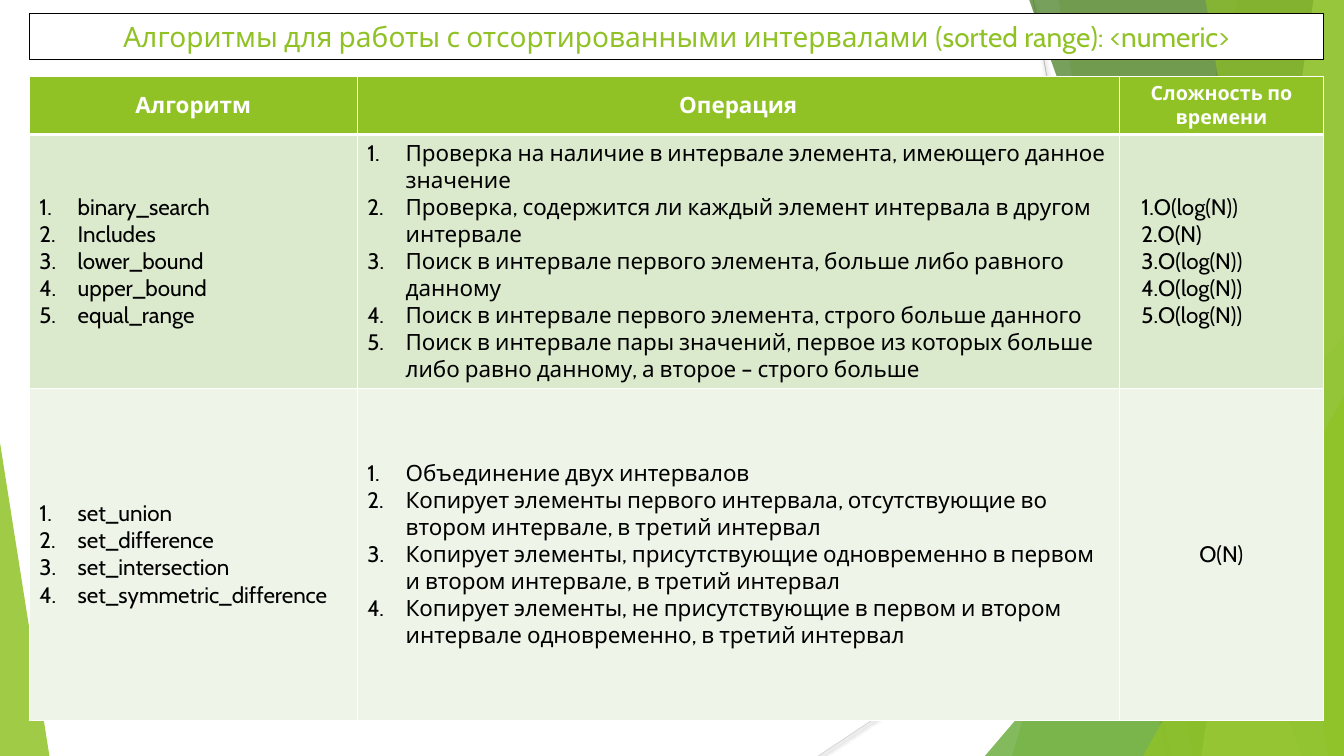
from lxml.etree import SubElement
from pptx import Presentation
from pptx.dml.color import RGBColor
from pptx.enum.shapes import MSO_CONNECTOR, MSO_SHAPE
from pptx.enum.text import MSO_ANCHOR, PP_ALIGN
from pptx.oxml.ns import qn
from pptx.util import Inches, Pt

WIDTH, HEIGHT = Inches(13.33), Inches(7.5)
FONT = "Cabin"
GREEN, WHITE, BLACK = "90C226", "FFFFFF", "000000"
LEFT, CONTENT_WIDTH = 2.18, 96.3
COLUMNS = (24.4, 56.7, 15.2)
ROWS = (7.33, 33.33, 44)
HANGING, FLUSH = (0.38, -0.38), (0.12, 0)

RAYS = [
    (92.1, 75.3, GREEN, 30),
    (78.75, 88.73, GREEN, 20),
    (76.58, 96.83, "3F7819", 70),
    (97.73, 89.4, "C0E474", 70),
    (89.7, 98.85, GREEN, 65),
]

HEADINGS = [("Алгоритм", 16), ("Операция", 16), ("Сложность по времени", 14)]
SEARCHES = ["binary_search", "Includes", "lower_bound", "upper_bound", "equal_range"]
SEARCH_OPERATIONS = [
    "Проверка на наличие в интервале элемента, имеющего данное значение",
    "Проверка, содержится ли каждый элемент интервала в другом интервале",
    "Поиск в интервале первого элемента, больше либо равного данному",
    "Поиск в интервале первого элемента, строго больше данного",
    "Поиск в интервале пары значений, первое из которых больше либо равно данному, "
    "а второе – строго больше",
]
SEARCH_TIMES = ["O(log(N))", "O(N)", "O(log(N))", "O(log(N))", "O(log(N))"]
SET_ALGORITHMS = ["set_union", "set_difference", "set_intersection", "set_symmetric_difference"]
SET_OPERATIONS = [
    "Объединение двух интервалов",
    "Копирует элементы первого интервала, отсутствующие во втором интервале, в третий интервал",
    "Копирует элементы, присутствующие одновременно в первом и втором интервале, "
    "в третий интервал",
    "Копирует элементы, не присутствующие в первом и втором интервале одновременно, "
    "в третий интервал",
]
BODY = [
    ("DBE9CD", [(SEARCHES, HANGING), (SEARCH_OPERATIONS, HANGING), (SEARCH_TIMES, FLUSH)]),
    ("EEF4E8", [(SET_ALGORITHMS, HANGING), (SET_OPERATIONS, HANGING), (["O(N)"], None)]),
]


def across(percent):
    return round(WIDTH * percent / 100)


def down(percent):
    return round(HEIGHT * percent / 100)


def box(left, top, width, height):
    return across(left), down(top), across(width), down(height)


def rgb(code):
    return RGBColor.from_string(code)


def child(parent, tag, **attributes):
    return SubElement(parent, qn(tag), {key: str(value) for key, value in attributes.items()})


def paint(target, color, opacity=100):
    target.fill.solid()
    target.fill.fore_color.rgb = rgb(color)
    if opacity < 100:
        solid = target.fill._xPr.find(qn("a:solidFill"))
        child(solid[0], "a:alpha", val=opacity * 1000)


def write(paragraph, text, size, color, bold=False):
    run = paragraph.add_run()
    run.text = text
    run.font.name = FONT
    run.font.size = Pt(size)
    run.font.bold = bold
    run.font.color.rgb = rgb(color)


def add_ridge(slide, start, end, color):
    ridge = slide.shapes.add_connector(
        MSO_CONNECTOR.STRAIGHT, across(start[0]), down(start[1]), across(end[0]), down(end[1]))
    ridge.line.color.rgb = rgb(color)
    ridge.line.width = Pt(0.75)
    effects = child(ridge._element.spPr, "a:effectLst")
    shadow = child(effects, "a:outerShdw", blurRad=Pt(3.1), dist=Pt(1.6),
                   dir=90 * 60000, rotWithShape=0)
    child(child(shadow, "a:srgbClr", val=BLACK), "a:alpha", val=38000)


def add_ray(slide, top_x, bottom_x, color, opacity):
    outline = slide.shapes.build_freeform(across(top_x), 0)
    outline.add_line_segments(
        [(WIDTH, 0), (WIDTH, HEIGHT), (across(bottom_x), HEIGHT)], close=True)
    ray = outline.convert_to_shape()
    paint(ray, color, opacity)
    ray.line.fill.background()
    ray.shadow.inherit = False


def add_corner(slide, left, top, width, apex, color, opacity):
    corner = slide.shapes.add_shape(
        MSO_SHAPE.ISOSCELES_TRIANGLE, *box(left, top, width, 100 - top))
    corner.adjustments[0] = apex
    paint(corner, color, opacity)
    corner.line.fill.background()
    corner.shadow.inherit = False


def add_backdrop(slide):
    add_ridge(slide, (76.88, 0), (86.85, 100), "BFBFBF")
    add_ridge(slide, (100, 53.73), (60.9, 100), "D9D9D9")
    for ray in RAYS[:2]:
        add_ray(slide, *ray)
    add_corner(slide, 73.28, 44.4, 26.72, 1, "54A021", 72)
    for ray in RAYS[2:]:
        add_ray(slide, *ray)
    add_corner(slide, 85.05, 52.4, 14.95, 1, GREEN, 80)
    add_corner(slide, 0, 58.53, 3.68, 0, GREEN, 85)


def add_title(slide, text):
    title = slide.shapes.add_shape(MSO_SHAPE.RECTANGLE, *box(LEFT, 1.73, CONTENT_WIDTH, 6.13))
    paint(title, WHITE)
    title.line.color.rgb = rgb(BLACK)
    title.line.width = Pt(0.75)
    title.shadow.inherit = False
    title.text_frame.word_wrap = True
    title.text_frame.vertical_anchor = MSO_ANCHOR.MIDDLE
    paragraph = title.text_frame.paragraphs[0]
    paragraph.alignment = PP_ALIGN.CENTER
    write(paragraph, text, 20, GREEN)


def number(paragraph, indents):
    margin, indent = indents
    properties = paragraph._p.get_or_add_pPr()
    properties.set("marL", str(Inches(margin)))
    properties.set("indent", str(Inches(indent)))
    child(properties, "a:buFont", typeface="+mj-lt")
    child(properties, "a:buAutoNum", type="arabicPeriod")


def fill_cell(cell, color, lines, size, ink, indents=None, bold=False, rule_below=1):
    borders = cell._tc.get_or_add_tcPr()
    for side, width in zip("LRTB", (1, 1, 1, rule_below)):
        border = child(borders, f"a:ln{side}", w=Pt(width))
        child(child(border, "a:solidFill"), "a:srgbClr", val=WHITE)
    paint(cell, color)
    cell.vertical_anchor = MSO_ANCHOR.MIDDLE
    for index, line in enumerate(lines):
        frame = cell.text_frame
        paragraph = frame.add_paragraph() if index else frame.paragraphs[0]
        paragraph.alignment = PP_ALIGN.LEFT if indents else PP_ALIGN.CENTER
        if indents:
            number(paragraph, indents)
        write(paragraph, line, size, ink, bold)


def add_algorithms(slide):
    table = slide.shapes.add_table(
        len(ROWS), len(COLUMNS), *box(LEFT, 10.13, CONTENT_WIDTH, sum(ROWS))).table
    table.first_row = table.horz_banding = False
    for column, share in zip(table.columns, COLUMNS):
        column.width = across(share)
    for row, share in zip(table.rows, ROWS):
        row.height = down(share)
    for column, (heading, size) in enumerate(HEADINGS):
        fill_cell(table.cell(0, column), GREEN, [heading], size, WHITE, bold=True, rule_below=3)
    for row, (color, entries) in enumerate(BODY, 1):
        for column, (lines, indents) in enumerate(entries):
            fill_cell(table.cell(row, column), color, lines, 16, BLACK, indents,
                      rule_below=1)


def main():
    deck = Presentation()
    deck.slide_width, deck.slide_height = WIDTH, HEIGHT
    slide = deck.slides.add_slide(deck.slide_layouts[6])
    add_backdrop(slide)
    add_algorithms(slide)
    add_title(slide, "Алгоритмы для работы с отсортированными интервалами "
                     "(sorted range): <numeric>")
    deck.save("out.pptx")


main()
